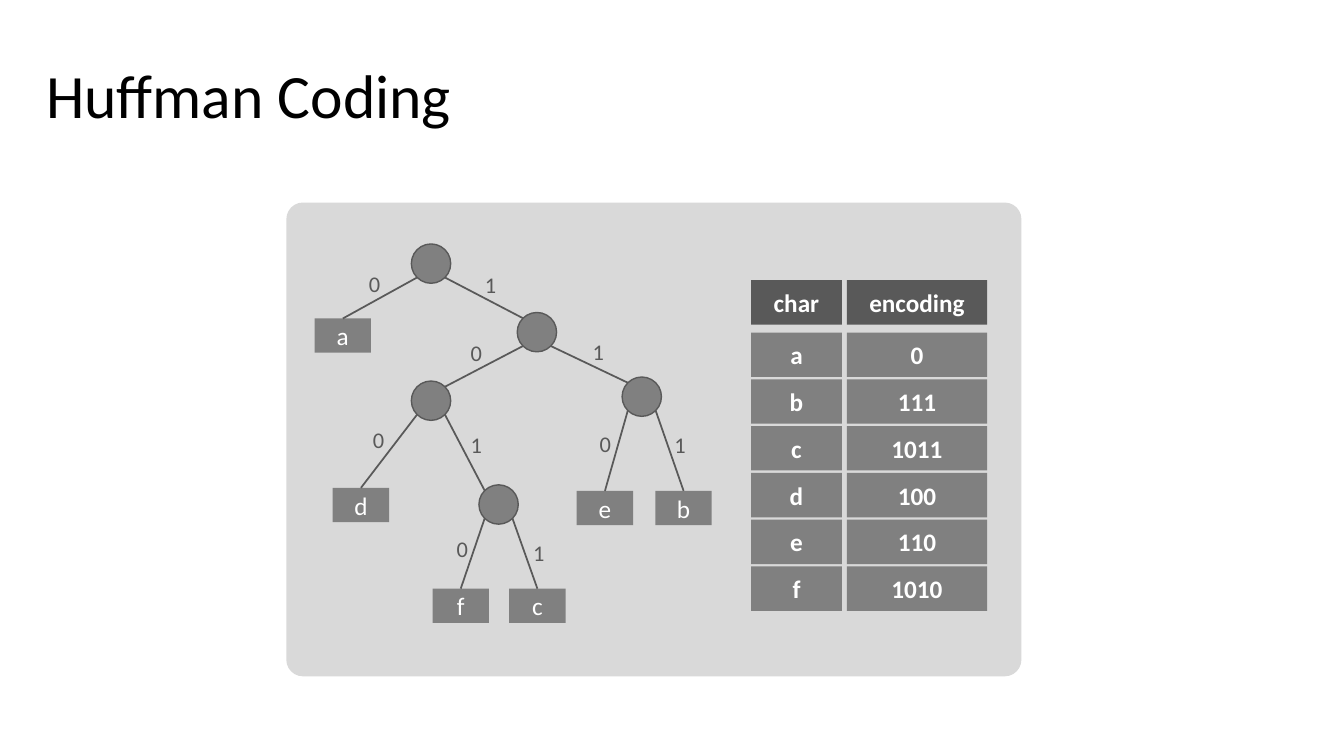
import math

import pptx
import pptx.dml.color
import pptx.enum.shapes
import pptx.enum.text
import pptx.oxml.ns
import pptx.util
from lxml import etree

Inches = pptx.util.Inches
Pt = pptx.util.Pt
SHAPES = pptx.enum.shapes.MSO_SHAPE
ALIGN = pptx.enum.text.PP_ALIGN
ANCHOR = pptx.enum.text.MSO_ANCHOR

TITLE = "Huffman Coding"
FONT = "Calibri"
COLORS = {
    "title": "000000",
    "panel": "D9D9D9",
    "dark": "595959",
    "fill": "808080",
    "light": "FFFFFF",
}
HEADER = ("char", "encoding")
CODES = [
    ("a", "0"),
    ("b", "111"),
    ("c", "1011"),
    ("d", "100"),
    ("e", "110"),
    ("f", "1010"),
]
NODES = {
    "root": (4.08, 2.42),
    "1": (5.13, 3.1),
    "10": (4.08, 3.78),
    "11": (6.17, 3.74),
    "101": (4.75, 4.81),
}
LEAVES = {
    "a": (3.12, 3.16),
    "d": (3.3, 4.84),
    "f": (4.29, 5.84),
    "e": (5.72, 4.87),
    "b": (6.5, 4.87),
    "c": (5.05, 5.84),
}
EDGES = [
    ("root", "0", "a", (3.56, 2.63)),
    ("root", "1", "1", (4.71, 2.64)),
    ("1", "0", "10", (4.57, 3.32)),
    ("1", "1", "11", (5.78, 3.31)),
    ("10", "0", "d", (3.6, 4.18)),
    ("10", "1", "101", (4.57, 4.23)),
    ("11", "0", "e", (5.85, 4.22)),
    ("11", "1", "b", (6.59, 4.23)),
    ("101", "0", "f", (4.43, 5.26)),
    ("101", "1", "c", (5.19, 5.3)),
]
PANEL = (2.84, 2.01, 7.29, 4.7)
COLUMNS = [(7.45, 0.9), (8.4, 1.39)]
HEADER_TOP, ROWS_TOP, ROW_PITCH, CELL_HEIGHT = 2.78, 3.3, 0.464, 0.44
NODE_SIZE = 0.39
LEAF_SIZE = (0.56, 0.34)
LABEL_SIZE = (0.33, 0.37)


def rgb(name):
    return pptx.dml.color.RGBColor.from_string(COLORS[name])


def write(shape, text, size, color, bold=False, align=ALIGN.LEFT, anchor=ANCHOR.TOP):
    frame = shape.text_frame
    frame.word_wrap = True
    frame.vertical_anchor = anchor
    paragraph = frame.paragraphs[0]
    paragraph.alignment = align
    run = paragraph.add_run()
    run.text = text
    run.font.name = FONT
    run.font.size = Pt(size)
    run.font.bold = bold
    run.font.color.rgb = rgb(color)
    return paragraph


def add_box(slide, kind, box, fill, outline=None):
    shape = slide.shapes.add_shape(kind, *map(Inches, box))
    shape.shadow.inherit = False
    shape.fill.solid()
    shape.fill.fore_color.rgb = rgb(fill)
    if outline:
        shape.line.color.rgb = rgb(outline)
        shape.line.width = Pt(1)
    else:
        shape.line.fill.background()
    return shape


def add_cell(slide, box, text, fill, bold):
    shape = add_box(slide, SHAPES.RECTANGLE, box, fill)
    write(shape, text, 18, "light", bold, ALIGN.CENTER, ANCHOR.MIDDLE)
    return shape


def add_label(slide, box, text, size, color, anchor=ANCHOR.TOP):
    label = slide.shapes.add_textbox(*map(Inches, box))
    return write(label, text, size, color, anchor=anchor)


def node_corner(name, horizontal, vertical):
    left, top = NODES[name]
    radius = NODE_SIZE / 2
    reach = radius * math.sqrt(0.5)
    return left + radius + horizontal * reach, top + radius + vertical * reach


def add_edge(slide, parent, bit, child, leaves):
    side = 1 if bit == "1" else -1
    start = node_corner(parent, side, 1)
    end = LEAVES[child] if child in leaves else node_corner(child, -side, -1)
    edge = slide.shapes.add_connector(
        pptx.enum.shapes.MSO_CONNECTOR.STRAIGHT, *map(Inches, start + end)
    )
    if child in leaves:
        edge.end_connect(leaves[child], 0)
    edge.line.color.rgb = rgb("dark")
    edge.line.width = Pt(1.25)
    etree.SubElement(edge._element.spPr, pptx.oxml.ns.qn("a:effectLst"))


def add_codes(slide):
    rows = [(HEADER_TOP, HEADER, "dark")]
    rows += [(ROWS_TOP + i * ROW_PITCH, row, "fill") for i, row in enumerate(CODES)]
    for top, texts, fill in rows:
        for (left, width), text in zip(COLUMNS, texts):
            add_cell(slide, (left, top, width, CELL_HEIGHT), text, fill, True)


def add_tree(slide):
    for corner in NODES.values():
        add_box(slide, SHAPES.OVAL, corner + (NODE_SIZE, NODE_SIZE), "fill", "dark")
    leaves = {
        name: add_cell(slide, corner + LEAF_SIZE, name, "fill", False)
        for name, corner in LEAVES.items()
    }
    for parent, bit, child, corner in EDGES:
        add_edge(slide, parent, bit, child, leaves)
        add_label(slide, corner + LABEL_SIZE, bit, 16, "dark")


def main():
    presentation = pptx.Presentation()
    presentation.slide_width = Inches(13.33)
    presentation.slide_height = Inches(7.5)
    slide = presentation.slides.add_slide(presentation.slide_layouts[6])
    title = add_label(slide, (0.36, 0.25, 11.5, 1.45), TITLE, 44, "title", ANCHOR.MIDDLE)
    title.line_spacing = 0.9
    panel = add_box(slide, SHAPES.ROUNDED_RECTANGLE, PANEL, "panel")
    panel.adjustments[0] = 0.035
    add_codes(slide)
    add_tree(slide)
    presentation.save("out.pptx")


if __name__ == "__main__":
    main()
